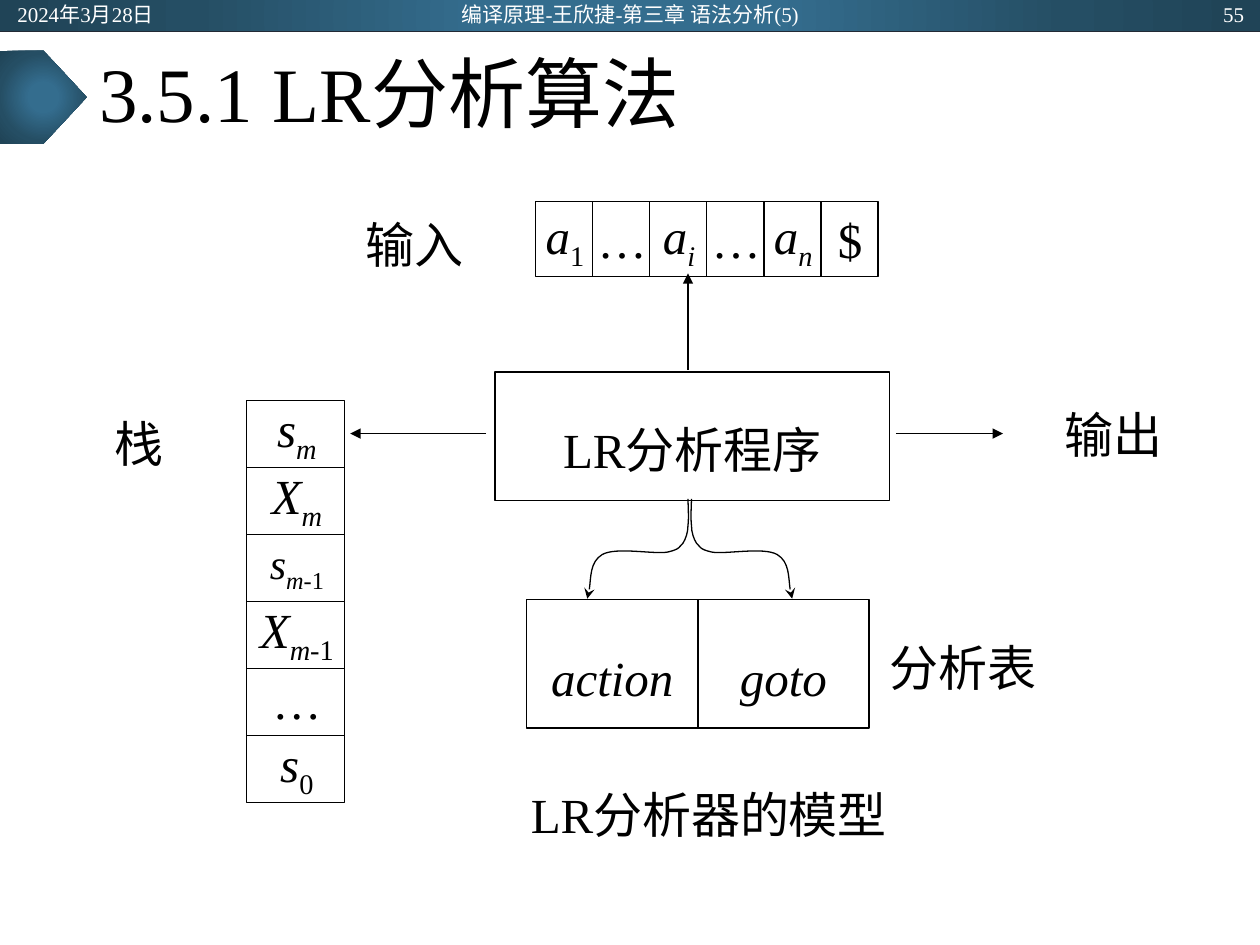
"""Build the slide on the model of an LR parser."""
from dataclasses import dataclass

import lxml.etree
import pptx
import pptx.dml.color
import pptx.enum.shapes
import pptx.enum.text
import pptx.oxml
import pptx.oxml.ns
import pptx.util

Cm = pptx.util.Cm
Align = pptx.enum.text.PP_ALIGN
Shape = pptx.enum.shapes.MSO_SHAPE


@dataclass(frozen=True)
class Theme:
    """Colours, font and sizes of the deck."""
    font: str = "Times New Roman"
    ink: str = "000000"
    light: str = "FFFFFF"
    rule: str = "222A35"
    gradient: tuple = ((0, "346D8E"), (23, "346D8E"), (69, "254E64"), (97, "204457"))
    title: int = 44
    body: int = 28
    small: int = 24
    header: int = 12
    line: float = 0.75
    thin: float = 0.5


THEME = Theme()


@dataclass(frozen=True)
class Span:
    """A piece of text with one style."""
    text: str
    italic: bool = False
    sub: bool = False


def symbol(letter, *subscripts):
    """Return an italic letter with subscripts, upright when numeric."""
    return [Span(letter, True)] + [Span(s, s.isalpha(), True) for s in subscripts]


def rgb(colour):
    """Turn a hex string into a colour."""
    return pptx.dml.color.RGBColor.from_string(colour)


def write(box, spans, size=THEME.body, colour=THEME.ink, align=Align.CENTER,
          spacing=None, insets=(0.25, 0.13, 0.25, 0.13), wrap=True):
    """Fill a box with one paragraph, run by run."""
    frame = box.text_frame
    frame.word_wrap = wrap
    frame.vertical_anchor = pptx.enum.text.MSO_ANCHOR.MIDDLE
    (frame.margin_left, frame.margin_top,
     frame.margin_right, frame.margin_bottom) = map(Cm, insets)
    para = frame.paragraphs[0]
    para.alignment = align
    if spacing:
        para.line_spacing = spacing
    for span in spans:
        run = para.add_run()
        run.text = span.text
        run.font.name = THEME.font
        run.font.size = pptx.util.Pt(size)
        run.font.color.rgb = rgb(colour)
        run.font.bold = False
        run.font.italic = span.italic
        if span.sub:
            run._r.get_or_add_rPr().set("baseline", "-25000")


def add_label(page, text, place, **style):
    """Add a text box."""
    box = page.shapes.add_textbox(*map(Cm, place))
    write(box, [Span(text)], **style)


def style_line(item, colour=THEME.ink, width=THEME.line, head=None):
    """Set the line of a shape, with an optional arrowhead at its end."""
    item.line.color.rgb = rgb(colour)
    item.line.width = pptx.util.Pt(width)
    if head:
        tail = lxml.etree.SubElement(item.line._get_or_add_ln(), pptx.oxml.ns.qn("a:tailEnd"))
        tail.set("type", head)


def add_cell(page, spans, place, **style):
    """Add an outlined rectangle with text."""
    box = page.shapes.add_shape(Shape.RECTANGLE, *map(Cm, place))
    box.shadow.inherit = False
    box.fill.background()
    style_line(box)
    write(box, spans, **style)


def add_line(page, start, end, **style):
    """Add a straight connector."""
    line = page.shapes.add_connector(
        pptx.enum.shapes.MSO_CONNECTOR.STRAIGHT, *map(Cm, start + end))
    style_line(line, **style)
    lxml.etree.SubElement(line._element.spPr, pptx.oxml.ns.qn("a:effectLst"))


def add_curve(page, points):
    """Add an arrow of cubic curves: a start, then three points per curve."""
    spots = [(Cm(x), Cm(y)) for x, y in points]
    builder = page.shapes.build_freeform(*spots[0])
    builder.add_line_segments(spots[1:], close=False)
    curve = builder.convert_to_shape()
    curve.shadow.inherit = False
    curve.fill.background()
    style_line(curve, head="stealth")
    outline = curve._element.xpath(".//a:path")[0]
    steps = list(outline)[1:]
    for first in range(0, len(steps), 3):
        bezier = lxml.etree.SubElement(outline, pptx.oxml.ns.qn("a:cubicBezTo"))
        for step in steps[first:first + 3]:
            bezier.append(step[0])
            outline.remove(step)


def add_gradient_shape(page, kind, place):
    """Add a shape with the radial theme gradient."""
    shape = page.shapes.add_shape(kind, *map(Cm, place))
    shape.shadow.inherit = False
    shape.line.fill.background()
    stops = "".join(f'<a:gs pos="{at * 1000}"><a:srgbClr val="{colour}"/></a:gs>'
                    for at, colour in THEME.gradient)
    fill = pptx.oxml.parse_xml(
        f'<a:gradFill {pptx.oxml.ns.nsdecls("a")} rotWithShape="1"><a:gsLst>{stops}</a:gsLst>'
        '<a:path path="circle"><a:fillToRect l="50000" t="50000" r="50000" b="50000"/>'
        '</a:path></a:gradFill>')
    shape._element.spPr.xpath("./a:prstGeom")[0].addnext(fill)


def add_frame(page):
    """Add the header band, its texts and the title."""
    add_gradient_shape(page, Shape.RECTANGLE, (0, 0, 25.4, 0.64))
    add_line(page, (0, 0.64), (25.4, 0.64), colour=THEME.rule, width=THEME.thin)
    add_gradient_shape(page, Shape.PENTAGON, (0, 1.02, 1.75, 1.88))
    for text, left, width, align in (
            ("2024年3月28日", 0.1, 5.72, Align.LEFT),
            ("编译原理-王欣捷-第三章 语法分析(5)", 8.41, 8.59, Align.CENTER),
            ("55", 19.61, 5.72, Align.RIGHT)):
        add_label(page, text, (left, 0.03, width, 0.51), size=THEME.header,
                  colour=THEME.light, align=align, insets=(0.25, 0, 0.25, 0))
    title = page.shapes.title
    title.left, title.top, title.width, title.height = map(Cm, (1.75, 0.64, 21.9, 2.64))
    write(title, [Span("3.5.1 LR分析算法")], size=THEME.title, align=Align.LEFT, spacing=0.9)


def add_input(page):
    """Add the row of input symbols."""
    dots = [Span("…")]
    symbols = [symbol("a", "1"), dots, symbol("a", "i"), dots, symbol("a", "n"), [Span("$")]]
    for column, spans in enumerate(symbols):
        add_cell(page, spans, (10.8 + 1.15 * column, 4.06, 1.15, 1.52),
                 insets=(0.08, 0.03, 0.05, 0.03))


def add_stack(page):
    """Add the column of stack entries."""
    entries = [symbol("s", "m"), symbol("X", "m"), symbol("s", "m", "-1"),
               symbol("X", "m", "-1"), [Span("…")], symbol("s", "0")]
    for row, spans in enumerate(entries):
        size = THEME.small if row == 2 else THEME.body
        add_cell(page, spans, (4.97, 8.08 + 1.35 * row, 1.98, 1.35),
                 size=size, insets=(0.1, 0, 0.05, 0.1))


def add_parser(page):
    """Add the program, its two tables and all arrows."""
    roomy = {"spacing": 1.3, "insets": (0.25, 0.28, 0.25, 0.13)}
    add_cell(page, [Span("LR分析程序")], (9.98, 7.5, 7.95, 2.59), **roomy)
    for column, name in enumerate(("action", "goto")):
        add_cell(page, [Span(name, True)], (10.62 + 3.45 * column, 12.09, 3.45, 2.59), **roomy)
    for start, end in (((13.87, 7.45), (13.87, 5.51)),
                       ((18.06, 8.74), (20.22, 8.74)),
                       ((9.8, 8.74), (7.06, 8.74))):
        add_line(page, start, end, head="triangle")
    branch = [(13.87, 10.06),
              (13.87, 10.16), (13.89, 10.44), (13.87, 10.59),
              (13.87, 10.74), (13.82, 10.87), (13.77, 10.95),
              (13.69, 11.02), (13.72, 11.07), (13.46, 11.13),
              (13.18, 11.18), (12.42, 11.02), (12.14, 11.18),
              (11.89, 11.33), (11.91, 11.89), (11.84, 12.07)]
    add_curve(page, branch)
    add_curve(page, [(27.81 - x, y) for x, y in branch])


def main():
    """Build and save the deck."""
    deck = pptx.Presentation()
    deck.slide_width, deck.slide_height = Cm(25.4), Cm(19.05)
    page = deck.slides.add_slide(deck.slide_layouts[5])
    add_frame(page)
    add_input(page)
    add_stack(page)
    add_parser(page)
    for text, place in (("输入", (6.93, 4.06, 2.87, 1.7)),
                        ("输出", (21.02, 7.9, 2.87, 1.7)),
                        ("栈", (1.37, 8.08, 2.87, 1.7)),
                        ("LR分析器的模型", (6.05, 15.49, 16.48, 1.83))):
        add_label(page, text, place)
    add_label(page, "分析表", (17.68, 12.73, 3.51, 1.45), align=Align.LEFT, wrap=False)
    deck.save("out.pptx")


if __name__ == "__main__":
    main()
